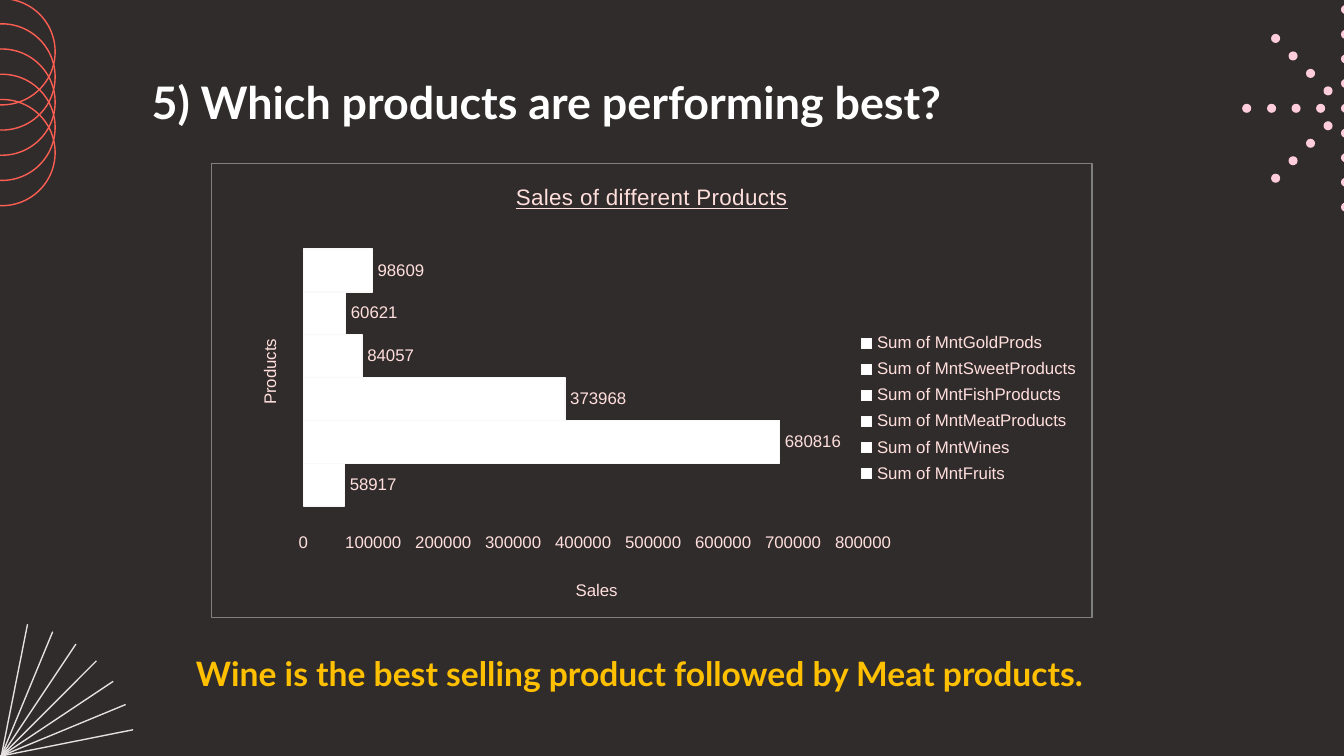
"""Build a slide that ranks product sales in a bar chart."""
from dataclasses import dataclass
from math import cos, radians, sin
from typing import Any, Optional

from lxml.etree import SubElement
from pptx import Presentation
from pptx.chart.data import CategoryChartData
from pptx.dml.color import RGBColor
from pptx.enum.chart import XL_CHART_TYPE, XL_LABEL_POSITION, XL_LEGEND_POSITION, XL_TICK_MARK
from pptx.enum.shapes import MSO_CONNECTOR, MSO_SHAPE
from pptx.enum.text import MSO_AUTO_SIZE
from pptx.oxml import parse_xml
from pptx.oxml.ns import nsdecls, qn
from pptx.util import Emu, Pt

SCALE = 2286
COLORS = {
    "back": "312C2C", "ray": "E6E1E0", "ring": "FF5F52", "dot": "FFCDDB",
    "pale": "FFDFDC", "white": "FFFFFF", "edge": "F9F9F9", "gold": "FFC000",
    "frame": "808080",
}
SALES = {
    "Fruits": 58917, "Wines": 680816, "MeatProducts": 373968,
    "FishProducts": 84057, "SweetProducts": 60621, "GoldProds": 98609,
}


@dataclass
class Round:
    left: int
    top: int
    size: int
    fill: Optional[str] = None
    line: Optional[str] = None


@dataclass
class Ray:
    x1: int
    y1: int
    x2: int
    y2: int


@dataclass
class Label:
    text: str
    left: int
    top: int
    width: int
    height: int
    size: int
    color: str


def px(count: int) -> Emu:
    return Emu(count * SCALE)


def tint(name: str) -> RGBColor:
    return RGBColor.from_string(COLORS[name])


def style(font: Any, size: int, color: str, face: str = "Arial", bold: bool = False) -> None:
    font.size, font.name, font.bold = Pt(size), face, bold
    font.color.rgb = tint(color)


def draw_ray(slide: Any, ray: Ray) -> None:
    link = slide.shapes.add_connector(
        MSO_CONNECTOR.STRAIGHT, px(ray.x1), px(ray.y1), px(ray.x2), px(ray.y2))
    link.line.color.rgb = tint("ray")
    link.line.width = Pt(0.75)
    SubElement(link.element.spPr, qn("a:effectLst"))


def draw_round(slide: Any, item: Round) -> None:
    oval = slide.shapes.add_shape(
        MSO_SHAPE.OVAL, px(item.left), px(item.top), px(item.size), px(item.size))
    oval.shadow.inherit = False
    if item.fill:
        oval.fill.solid()
        oval.fill.fore_color.rgb = tint(item.fill)
    else:
        oval.fill.background()
    if item.line:
        oval.line.color.rgb = tint(item.line)
        oval.line.width = Pt(0.75)
    else:
        oval.line.fill.background()


def draw_label(slide: Any, item: Label) -> None:
    box = slide.shapes.add_textbox(
        px(item.left), px(item.top), px(item.width), px(item.height))
    frame = box.text_frame
    frame.word_wrap = True
    frame.auto_size = MSO_AUTO_SIZE.SHAPE_TO_FIT_TEXT
    frame.text = item.text
    style(frame.paragraphs[0].runs[0].font, item.size, item.color, "Lato", True)


def place(node: Any, index: int, inner: bool = False, **spots: float) -> None:
    for old in node.findall(qn("c:layout")):
        node.remove(old)
    target = '<c:layoutTarget val="inner"/>' if inner else ""
    modes = "".join(f'<c:{key}Mode val="edge"/>' for key in spots if key in "xy")
    sizes = "".join(f'<c:{key} val="{spot}"/>' for key, spot in spots.items())
    node.insert(index, parse_xml(
        f'<c:layout {nsdecls("c")}><c:manualLayout>{target}{modes}{sizes}'
        "</c:manualLayout></c:layout>"))


def set_title(title: Any, text: str, size: int) -> Any:
    title.text_frame.text = text
    font = title.text_frame.paragraphs[0].runs[0].font
    style(font, size, "pale")
    return font


def draw_chart(slide: Any) -> None:
    data = CategoryChartData()
    data.categories = ["1"]
    for name, total in SALES.items():
        data.add_series(f"Sum of Mnt{name}", [total])
    chart = slide.shapes.add_chart(
        XL_CHART_TYPE.BAR_CLUSTERED, px(628), px(484), px(2624), px(1356), data).chart
    style(chart.font, 10, "back")
    root = chart.element.find(qn("c:chart"))
    root.addnext(parse_xml(
        f'<c:spPr {nsdecls("c", "a")}><a:noFill/><a:ln w="9525"><a:solidFill>'
        f'<a:srgbClr val="{COLORS["frame"]}"/></a:solidFill></a:ln></c:spPr>'))
    place(root.find(qn("c:plotArea")), 0, True, x=0.104, y=0.142, w=0.636, h=0.66)

    chart.has_title = True
    font = set_title(chart.chart_title, "Sales of different Products", 12)
    font.underline = True
    chart.chart_title.text_frame.paragraphs[0].runs[0].font._element.set("spc", "20")

    plot = chart.plots[0]
    plot.vary_by_categories = False
    plot.gap_width, plot.overlap = 100, 0
    for bar in plot.series:
        bar.format.fill.solid()
        bar.format.fill.fore_color.rgb = tint("white")
        bar.format.line.color.rgb = tint("edge")
        bar.format.line.width = Pt(0.75)
        marks = bar.data_labels
        marks.show_value = True
        marks.position = XL_LABEL_POSITION.OUTSIDE_END
        style(marks.font, 9, "pale")

    items, scale = chart.category_axis, chart.value_axis
    items.visible = False
    set_title(items.axis_title, "Products", 9)
    turn = items.axis_title.element.find(".//" + qn("a:bodyPr"))
    turn.set("rot", "-5400000")
    turn.set("vert", "horz")
    place(items.axis_title.element, 1, x=0.05, y=0.38)
    set_title(scale.axis_title, "Sales", 9)
    place(scale.axis_title.element, 1, x=0.41, y=0.91)
    scale.has_major_gridlines = False
    scale.major_tick_mark = scale.minor_tick_mark = XL_TICK_MARK.NONE
    scale.minimum_scale, scale.maximum_scale, scale.major_unit = 0, 800000, 100000
    scale.format.line.fill.background()
    style(scale.tick_labels.font, 9, "pale")

    chart.has_legend = True
    chart.legend.position = XL_LEGEND_POSITION.RIGHT
    chart.legend.include_in_layout = False
    style(chart.legend.font, 9, "pale")
    place(chart.legend._element, 1, x=0.73, y=0.36, w=0.26, h=0.36)


def main() -> None:
    deck = Presentation()
    deck.slide_width, deck.slide_height = px(4000), px(2250)
    slide = deck.slides.add_slide(deck.slide_layouts[6])
    slide.background.fill.solid()
    slide.background.fill.fore_color.rgb = tint("back")

    for step in range(1, 8):
        turn = radians(step * 11.25)
        dx, dy = round(400 * cos(turn)), round(400 * sin(turn))
        draw_ray(slide, Ray(4 + dx, 2250 - dy, 4 - dx, 2250 + dy))
    for step in range(5):
        draw_round(slide, Round(-152, -4 + 75 * step, 316, line="ring"))
    spots = [(0, 0)] + [
        (round(73.5 * step * cos(radians(turn))), round(73.5 * step * sin(radians(turn))))
        for turn in range(90, 271, 45) for step in range(1, 5)]
    for dx, dy in spots:
        draw_round(slide, Round(3991 + dx, 309 + dy, 27, fill="dot"))

    draw_chart(slide)
    for item in (
        Label("5) Which products are performing best?", 412, 204, 2740, 200, 24, "white"),
        Label("Wine is the best selling product followed by Meat products.",
              544, 1924, 2792, 160, 18, "gold"),
    ):
        draw_label(slide, item)
    deck.save("out.pptx")


if __name__ == "__main__":
    main()
